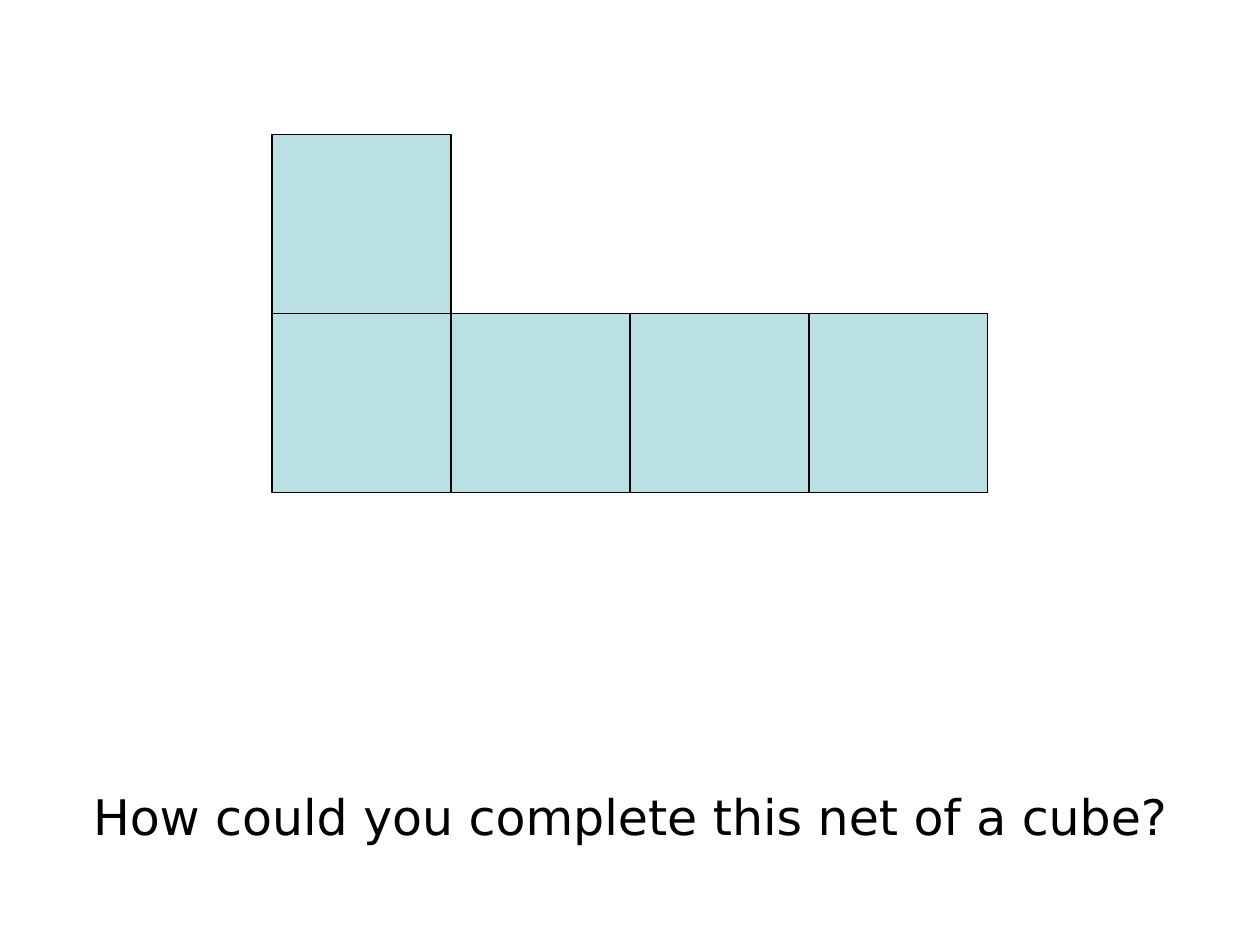
from pptx import Presentation
from pptx.dml.color import RGBColor
from pptx.enum.shapes import MSO_SHAPE
from pptx.enum.text import MSO_ANCHOR, MSO_AUTO_SIZE, PP_ALIGN
from pptx.util import Inches, Pt


def paint(color_format, hex_color):
    color_format.rgb = RGBColor.from_string(hex_color)


presentation = Presentation()
presentation.slide_width = Inches(10)
presentation.slide_height = Inches(7.5)
slide = presentation.slides.add_slide(presentation.slide_layouts[5])
slide.background.fill.solid()
paint(slide.background.fill.fore_color, "FFFFFF")

side = Inches(1.42)
net_left = (presentation.slide_width - 4 * side) // 2
net_top = Inches(1.07)
net_cells = [(0, 0), (0, 1), (1, 1), (2, 1), (3, 1)]

net = slide.shapes.add_group_shape()
for column, row in net_cells:
    face = net.shapes.add_shape(
        MSO_SHAPE.RECTANGLE,
        net_left + column * side,
        net_top + row * side,
        side,
        side,
    )
    face.shadow.inherit = False
    face.fill.solid()
    paint(face.fill.fore_color, "BBE0E3")
    paint(face.line.color, "000000")
    face.line.width = Pt(0.75)

question = slide.shapes.title
question.width = Inches(8.98)
question.height = Inches(0.57)
question.left = (presentation.slide_width - question.width) // 2
question.top = Inches(6.19)

text_frame = question.text_frame
text_frame.word_wrap = True
text_frame.auto_size = MSO_AUTO_SIZE.NONE
text_frame.vertical_anchor = MSO_ANCHOR.MIDDLE
paragraph = text_frame.paragraphs[0]
paragraph.alignment = PP_ALIGN.CENTER
run = paragraph.add_run()
run.text = "How could you complete this net of a cube?"
run.font.name = "DejaVu Sans"
run.font.size = Pt(28)
paint(run.font.color, "000000")

presentation.save("out.pptx")
